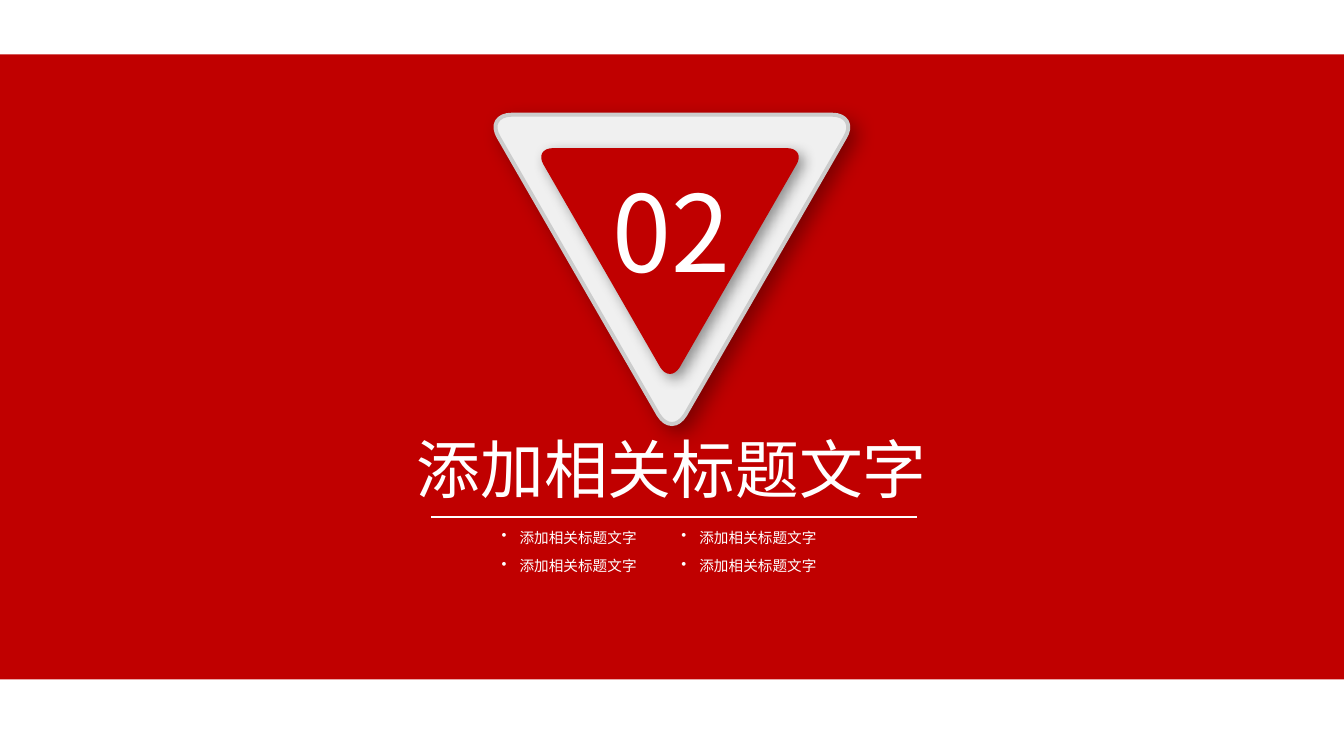
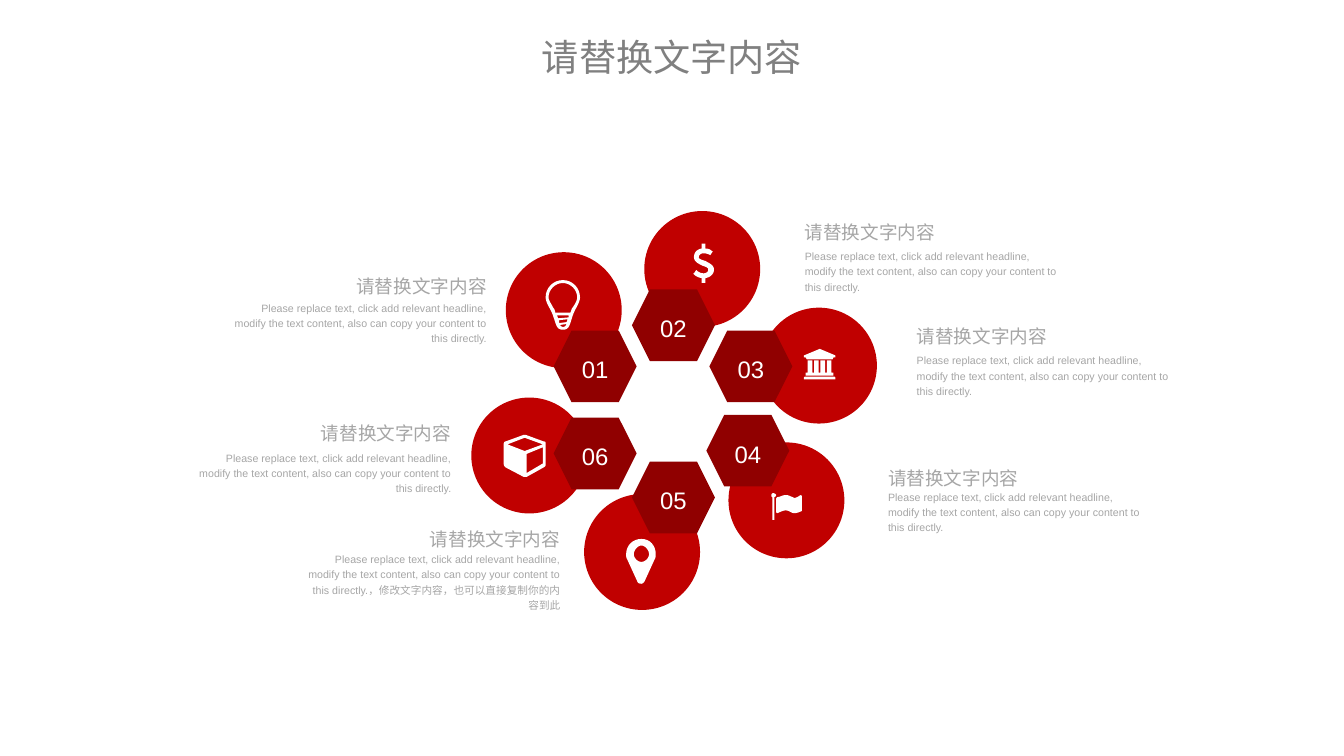
import pptx
import pptx.dml.color
import pptx.enum.shapes
import pptx.enum.text
import pptx.oxml
import pptx.oxml.ns
import pptx.util

Pt = pptx.util.Pt
SHAPE = pptx.enum.shapes.MSO_SHAPE
ALIGN = pptx.enum.text.PP_ALIGN
ANCHOR = pptx.enum.text.MSO_ANCHOR
GROW = pptx.enum.text.MSO_AUTO_SIZE.SHAPE_TO_FIT_TEXT

WIDTH, HEIGHT = 1012.32, 569.52
RED, DARK_RED, WHITE = "C00000", "900000", "FFFFFF"
PALE, RIM = "F0F0F0", "CCCCCC"
TITLE_GREY, TEXT_GREY = "808080", "A6A6A6"
FONT, NUMBER_FONT = "Arial", "Noto Sans CJK SC"

NO_INSETS = dict.fromkeys(
    ("margin_left", "margin_top", "margin_right", "margin_bottom"), 0)
CAPTION_HEAD = "请替换文字内容"
CAPTION_BODY = ("Please replace text, click add relevant headline, modify the text "
                "content, also can copy your content to this directly.")
SECTION_TEXT = "添加相关标题文字"


def rectangle(left, top, right, bottom):
    return [(left, top), (right, top), (right, bottom), (left, bottom)]


# Outlines are lists of contours in points: a pair is a corner,
# six numbers are a cubic curve (two controls and an end).
TRIANGLE = [[
    (5.8, 17.3), (0, 7.9, 4.3, 0, 15.8, 0), (256.6, 0),
    (267.8, 0, 272.2, 7.9, 266.4, 17.3), (146.2, 226.1),
    (140.4, 235.4, 131.8, 235.4, 126, 226.1)]]
BULB = [
    [(13, 0), (5.8, 0, 0, 5.8, 0, 13), (0, 17.3, 4.3, 22.3, 5.8, 27.4),
     (7.9, 33.1, 7.9, 37.4, 13, 37.4), (18, 37.4, 18, 33.8, 20.2, 27.4),
     (21.6, 22.3, 25.9, 17.3, 25.9, 13), (25.9, 5.8, 20.2, 0, 13, 0)],
    [(15.8, 31.7), (10.1, 32.4), (10.1, 30.2), (16.6, 29.5)],
    [(9.4, 28.8), (8.6, 26.6), (17.3, 26.6), (17.3, 28.1)],
    [(13, 35.3), (12.2, 35.3, 11.5, 34.6, 10.8, 33.8), (15.8, 33.1),
     (15.1, 34.6, 14.4, 35.3, 13, 35.3)],
    [(18.7, 24.5), (7.2, 24.5), (7.2, 23, 6.5, 21.6, 5.8, 20.9),
     (4.3, 18, 2.2, 15.1, 2.2, 13), (2.2, 7.2, 7.2, 2.2, 13, 2.2),
     (18.7, 2.2, 23.8, 7.2, 23.8, 13), (23.8, 15.1, 22.3, 18, 20.2, 20.9),
     (19.4, 21.6, 19.4, 23, 18.7, 24.5)]]
DOLLAR = [[
    (9.4, 25.9), (9.4, 29.5), (6.5, 29.5), (6.5, 25.9),
    (2.2, 25.2, 0.7, 23, 0.7, 23), (0, 23, 0, 22.3, 0.7, 22.3), (2.2, 20.2),
    (2.2, 19.4, 2.9, 20.2, 2.9, 20.2), (2.9, 20.2, 5, 22.3, 7.9, 22.3),
    (9.4, 22.3, 11.5, 21.6, 11.5, 19.4), (11.5, 18, 9.4, 17.3, 7.2, 16.6),
    (4.3, 15.1, 0.7, 13.7, 0.7, 10.1), (0.7, 6.5, 2.9, 4.3, 6.5, 3.6),
    (6.5, 0), (9.4, 0), (9.4, 3.6), (13, 3.6, 14.4, 5.8, 14.4, 5.8),
    (15.1, 5.8, 15.1, 5.8, 14.4, 6.5), (13, 8.6),
    (13, 8.6, 10.8, 7.2, 7.9, 7.2), (5.8, 7.2, 4.3, 8.6, 4.3, 10.1),
    (4.3, 11.5, 6.5, 12.2, 9.4, 13), (11.5, 14.4, 15.8, 15.8, 15.8, 19.4),
    (15.8, 23, 13, 25.2, 9.4, 25.9)]]
BANK = [
    [(23.8, 5), (23.8, 6.5), (22.3, 6.5), (21.6, 7.9), (2.2, 7.9),
     (1.4, 6.5), (0, 6.5), (0, 5), (12, 0)],
    *[rectangle(2.9 + 4.8 * column, 8.6, 6.4 + 4.8 * column, 18)
      for column in range(4)],
    rectangle(1.4, 18, 22.3, 20.2),
    [(0, 23), (0, 21.6), (0.7, 20.9), (23, 20.9), (23.8, 21.6), (23.8, 23)]]
FLAG = [
    [(2.2, 2.9), (2.2, 20.2), (0.7, 20.2), (0.7, 2.9),
     (0, 2.9, 0, 2.2, 0, 1.4), (0, 0.7, 0.7, 0, 1.4, 0),
     (2.2, 0, 3.6, 0.7, 3.6, 1.4), (3.6, 2.2, 2.9, 2.9, 2.2, 2.9)],
    [(23, 13), (23, 13, 23, 13.7, 22.3, 13.7),
     (20.9, 14.4, 18.7, 15.1, 17.3, 15.1), (15.1, 15.1, 13.7, 13, 10.8, 13),
     (8.6, 13, 6.5, 14.4, 4.3, 15.1), (3.6, 14.4), (3.6, 4.3),
     (3.6, 3.6, 4.3, 2.9, 5, 2.9), (6.5, 2.9, 8.6, 1.4, 10.8, 1.4),
     (13, 1.4, 13.7, 2.2, 15.8, 2.9), (16.6, 2.9, 16.6, 3.6, 17.3, 3.6),
     (19.4, 3.6, 21.6, 1.4, 22.3, 1.4), (23, 2.2)]]
PIN = [
    [(21.6, 15.1), (13.7, 32.4), (13, 33.1, 12.2, 33.8, 11.5, 33.8),
     (10.1, 33.8, 8.6, 33.1, 8.6, 32.4), (0.7, 15.1),
     (0, 14.4, 0, 12.2, 0, 11.5), (0, 5, 5, 0, 11.5, 0),
     (18, 0, 22.3, 5, 22.3, 11.5), (22.3, 12.2, 22.3, 14.4, 21.6, 15.1)],
    [(11.5, 5), (8.6, 5, 5.8, 8.6, 5.8, 11.5),
     (5.8, 14.4, 8.6, 17.3, 11.5, 17.3), (14.4, 17.3, 17.3, 14.4, 17.3, 11.5),
     (17.3, 8.6, 14.4, 5, 11.5, 5)]]
CUBE = [
    [(31.7, 21.6), (31.7, 23, 31.7, 23.8, 30.2, 24.5), (17.3, 31.7),
     (15.1, 31.7), (1.4, 24.5), (0.7, 23.8, 0, 23, 0, 21.6), (0, 7.2),
     (0, 5.8, 0.7, 5, 1.4, 5), (15.1, 0), (16.6, 0), (30.2, 5),
     (31.7, 5, 31.7, 5.8, 31.7, 7.2)],
    [(29.5, 7.2), (15.8, 2.2), (2.9, 7.2), (15.8, 12.2)],
    [(29.5, 21.6), (29.5, 9.4), (17.3, 14.4), (17.3, 28.8)]]

# number, circle, hexagon, icon, icon place, caption place, body drop, align, body tail
STEPS = [
    ("01", (26, 31), (62, 90), BULB, (56, 52), (-179.3, 44.8), 21.6, ALIGN.RIGHT, ""),
    ("02", (130.3, 0), (121, 59), DOLLAR, (167, 24.6), (251.2, 3.7), 23.8, ALIGN.LEFT, ""),
    ("03", (218.2, 72.8), (179.3, 90), BANK, (250.5, 103.8), (335.5, 82.2), 23.8,
     ALIGN.LEFT, ""),
    ("04", (193.7, 174.3), (177, 153.5), FLAG, (226, 212.5), (313.9, 189.5), 19.4,
     ALIGN.LEFT, ""),
    ("05", (85, 213.2), (121, 188.8), PIN, (116.6, 247), (-123.9, 235.6), 20.2,
     ALIGN.RIGHT, "，修改文字内容，也可以直接复制你的内容到此"),
    ("06", (0, 140.5), (62, 155.6), CUBE, (24.4, 168.6), (-206, 155.6), 23.8,
     ALIGN.RIGHT, ""),
]


def rgb(color):
    return pptx.dml.color.RGBColor.from_string(color)


def apply(target, formats):
    for name, value in formats.items():
        setattr(target, name, value)


def paint(shape, fill, line=None, weight=0):
    shape.shadow.inherit = False
    shape.fill.solid()
    shape.fill.fore_color.rgb = rgb(fill)
    if line:
        shape.line.color.rgb = rgb(line)
        shape.line.width = Pt(weight)
    else:
        shape.line.fill.background()


def preset(slide, kind, left, top, width, height, fill):
    shape = slide.shapes.add_shape(kind, Pt(left), Pt(top), Pt(width), Pt(height))
    paint(shape, fill)
    return shape


def write(shape, text, size, color, frame, paragraph, font=FONT, bullet_indent=0):
    apply(shape.text_frame, frame)
    line = shape.text_frame.paragraphs[0]
    line.text = text
    if bullet_indent:
        properties = line._p.get_or_add_pPr()
        properties.set("marL", str(Pt(bullet_indent)))
        properties.set("indent", str(-Pt(bullet_indent)))
        bullet = pptx.oxml.parse_xml(
            f'<a:buChar {pptx.oxml.ns.nsdecls("a")} char="•"/>')
        properties.append(bullet)
    apply(line, paragraph)
    apply(line.font, {"size": Pt(size), "name": font})
    line.font.color.rgb = rgb(color)


def text_box(slide, left, top, width, height, text, size, color, frame=None,
             paragraph=None, **style):
    box = slide.shapes.add_textbox(Pt(left), Pt(top), Pt(width), Pt(height))
    frame = {"word_wrap": True, "auto_size": GROW, **(frame or {})}
    write(box, text, size, color, frame, paragraph or {}, **style)


def flatten(contour, steps=8):
    """Turn corners and cubic curves into a list of points."""
    points = [contour[0]]
    for part in contour[1:]:
        if len(part) == 2:
            points.append(part)
            continue
        knots = [points[-1], part[:2], part[2:4], part[4:]]
        for step in range(1, steps + 1):
            t = step / steps
            weights = ((1 - t) ** 3, 3 * t * (1 - t) ** 2, 3 * t * t * (1 - t), t ** 3)
            points.append(tuple(sum(w * knot[axis] for w, knot in zip(weights, knots))
                                for axis in (0, 1)))
    return points


def outline(slide, contours, left, top, fill, scale=1, line=None, weight=0):
    builder = None
    for contour in contours:
        first, *rest = [(Pt(left + x * scale), Pt(top + y * scale))
                        for x, y in flatten(contour)]
        if builder is None:
            builder = slide.shapes.build_freeform(*first)
        else:
            builder.move_to(*first)
        builder.add_line_segments(rest, close=True)
    shape = builder.convert_to_shape()
    paint(shape, fill, line, weight)
    return shape


def cast_shadow(shape, opacity, blur, distance):
    effects = shape._element.spPr.find(pptx.oxml.ns.qn("a:effectLst"))
    effects.append(pptx.oxml.parse_xml(
        f'<a:outerShdw {pptx.oxml.ns.nsdecls("a")} blurRad="{Pt(blur)}" '
        f'dist="{Pt(distance)}" dir="2700000" algn="tl" rotWithShape="0">'
        f'<a:srgbClr val="000000"><a:alpha val="{opacity * 1000}"/></a:srgbClr>'
        '</a:outerShdw>'))


def rule(slide, left, top, width):
    line = slide.shapes.add_connector(pptx.enum.shapes.MSO_CONNECTOR.STRAIGHT,
                                      Pt(left), Pt(top), Pt(left + width), Pt(top))
    line.line.color.rgb = rgb(WHITE)
    line.line.width = Pt(2)
    line._element.spPr.append(pptx.oxml.parse_xml(
        f'<a:effectLst {pptx.oxml.ns.nsdecls("a")}/>'))


def badge(slide, left, top, number):
    plate = outline(slide, TRIANGLE, left, top, PALE, line=RIM, weight=3)
    cast_shadow(plate, 35, 15, 7)
    core = outline(slide, TRIANGLE, left + 35.3, top + 25.2, RED, scale=0.73)
    cast_shadow(core, 40, 10, 5)
    text_box(slide, left + 24.5, top + 35.3, 223.2, 104.4, number, 80, WHITE,
             paragraph={"alignment": ALIGN.CENTER}, font=NUMBER_FONT)


def section_heading(slide, left, top, title, topics):
    rule(slide, left + 10.8, top + 66.2, 365.8)
    text_box(slide, left, top, 391, 58.3, title, 48, WHITE,
             {**NO_INSETS, "vertical_anchor": ANCHOR.MIDDLE})
    for index, topic in enumerate(topics):
        row, column = divmod(index, 2)
        text_box(slide, left + 56.9 + 135.4 * column, top + 71.3 + 21.6 * row,
                 117.4, 20.9, topic, 11, WHITE, {"word_wrap": False},
                 bullet_indent=13.5)


def section_slide(slide):
    preset(slide, SHAPE.RECTANGLE, 0, 41, WIDTH, 470.9, RED)
    badge(slide, 370, 86.4, "02")
    section_heading(slide, 313.9, 323.3, SECTION_TEXT, [SECTION_TEXT] * 4)


def caption(slide, left, top, drop, align, body):
    width, head_width = 191, 124
    style = {"alignment": align, "line_spacing": 1.2}
    head_left = left + width - head_width if align == ALIGN.RIGHT else left
    text_box(slide, left, top + drop, width, 34, body, 8, TEXT_GREY, NO_INSETS, style)
    text_box(slide, head_left, top, head_width, 20.2, CAPTION_HEAD, 14, TEXT_GREY,
             {**NO_INSETS, "word_wrap": False}, style)


def cycle(slide, left, top):
    for _, (x, y), *_ in STEPS:
        preset(slide, SHAPE.OVAL, left + x, top + y, 87.3, 87.3, RED)
    for number, _, (x, y), *_ in STEPS:
        hexagon = preset(slide, SHAPE.HEXAGON, left + x, top + y, 62.5, 54, DARK_RED)
        write(hexagon, number, 18, WHITE, {"vertical_anchor": ANCHOR.MIDDLE},
              {"alignment": ALIGN.CENTER, "line_spacing": 1.2})
    for _, _, _, icon, (icon_x, icon_y), (x, y), drop, align, tail in STEPS:
        outline(slide, icon, left + icon_x, top + icon_y, WHITE)
        caption(slide, left + x, top + y, drop, align, CAPTION_BODY + tail)


def cycle_slide(slide):
    cycle(slide, 355, 159)
    text_box(slide, 393.8, 15.8, 224.6, 39.6, CAPTION_HEAD, 28, TITLE_GREY, NO_INSETS,
             {"alignment": ALIGN.CENTER, "line_spacing": 1.3})


def main():
    deck = pptx.Presentation()
    apply(deck, {"slide_width": Pt(WIDTH), "slide_height": Pt(HEIGHT)})
    for build in (section_slide, cycle_slide):
        build(deck.slides.add_slide(deck.slide_layouts[6]))
    deck.save("out.pptx")


if __name__ == "__main__":
    main()
